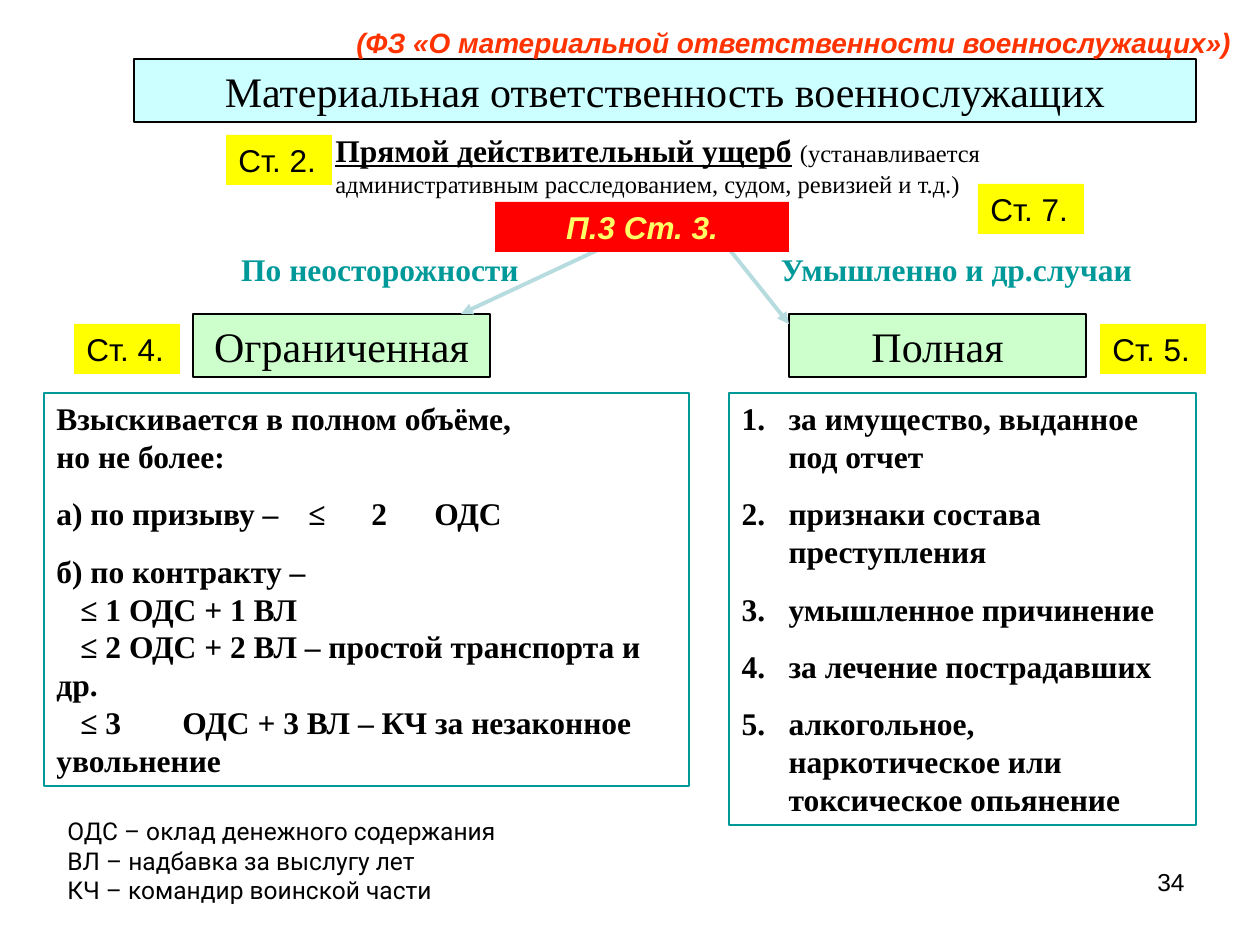
"""Build a slide on the material liability of servicemen."""
from dataclasses import dataclass

from lxml import etree
from pptx import Presentation
from pptx.dml.color import RGBColor
from pptx.enum.shapes import MSO_CONNECTOR, MSO_SHAPE
from pptx.enum.text import MSO_ANCHOR, MSO_AUTO_SIZE, PP_ALIGN
from pptx.oxml.ns import qn
from pptx.util import Emu, Pt

RECT, STRAIGHT = MSO_SHAPE.RECTANGLE, MSO_CONNECTOR.STRAIGHT
LEFT, CENTER, RIGHT = PP_ALIGN.LEFT, PP_ALIGN.CENTER, PP_ALIGN.RIGHT
TOP, NO_FIT = MSO_ANCHOR.TOP, MSO_AUTO_SIZE.NONE

PX_PER_INCH = 126
COLORS = {
    "black": "000000", "teal": "009999", "mint": "CCFFCC", "sky": "CCFFFF",
    "orange": "FF3300", "yellow": "FFFF00", "red": "FF0000", "lemon": "FFFF66",
    "arrow": "B6DCDF",
}
SERIF, SANS = "Times New Roman", "Arial"
HEADING = {"name": SERIF, "size": Pt(24), "bold": False}
STRONG = {"name": SERIF, "size": Pt(18), "bold": True}
TERM = {**STRONG, "underline": True}
DETAIL = {"name": SERIF, "size": Pt(14)}
ARTICLE = {"name": SANS, "size": Pt(18)}
CLAUSE = {**ARTICLE, "bold": True, "italic": True}
LAW = {**CLAUSE, "size": Pt(16)}
LEGEND = {"name": "Roboto", "size": Pt(14)}
NUMBER = {"name": SANS, "size": Pt(14)}


@dataclass
class Run:
    text: str
    fmt: dict


@dataclass
class Para:
    runs: list[Run]
    before: float = 0
    indent: int = 0
    hanging: int = 0
    tabs: tuple[int, ...] = ()


@dataclass
class Box:
    x: int
    y: int
    w: int
    h: int
    paras: list[Para]
    color: str = "black"
    align: PP_ALIGN = LEFT
    fill: str | None = None
    line: str | None = None
    line_pt: float = 1
    wrap: bool = True


def px(n: float) -> Emu:
    """Turn pixels into EMU."""
    return Emu(round(n * 914400 / PX_PER_INCH))


def rgb(key: str) -> RGBColor:
    """Look up a colour."""
    return RGBColor.from_string(COLORS[key])


def lines(fmt: dict, *texts: str, gap: float = 0, **options) -> list[Para]:
    """Make one paragraph per text, with a gap between them."""
    return [Para([Run(t, fmt)], gap if i else 0, **options) for i, t in enumerate(texts)]


def write_para(p, para: Para, box: Box) -> None:
    """Fill one paragraph."""
    p.alignment, p.space_before = box.align, Pt(para.before)
    pPr = p._p.get_or_add_pPr()
    pPr.set("marL", str(px(para.hanging)))
    pPr.set("indent", str(px(para.indent - para.hanging)))
    if para.hanging:
        etree.SubElement(pPr, qn("a:buFont"), typeface="+mj-lt")
        etree.SubElement(pPr, qn("a:buAutoNum"), type="arabicPeriod")
    if para.tabs:
        tab_list = etree.SubElement(pPr, qn("a:tabLst"))
        for stop in para.tabs:
            etree.SubElement(tab_list, qn("a:tab"), pos=str(px(stop)), algn="l")
    for run in para.runs:
        r = p.add_run()
        r.text = run.text
        for name, value in run.fmt.items():
            setattr(r.font, name, value)
        r.font.color.rgb = rgb(box.color)


def format_box(sp, box: Box) -> None:
    """Place a shape, paint it and write its text."""
    frame = {"left": px(box.x), "top": px(box.y), "width": px(box.w), "height": px(box.h)}
    for name, value in frame.items():
        setattr(sp, name, value)
    if box.fill:
        sp.fill.solid()
        sp.fill.fore_color.rgb = rgb(box.fill)
    else:
        sp.fill.background()
    if box.line:
        sp.line.color.rgb = rgb(box.line)
        sp.line.width = Pt(box.line_pt)
    else:
        sp.line.fill.background()
    tf = sp.text_frame
    for name, value in {"word_wrap": box.wrap, "auto_size": NO_FIT, "vertical_anchor": TOP}.items():
        setattr(tf, name, value)
    for i, para in enumerate(box.paras):
        write_para(tf.add_paragraph() if i else tf.paragraphs[0], para, box)


def add_box(shapes, box: Box) -> None:
    """Add a filled or outlined rectangle, or a plain text box."""
    if box.fill or box.line:
        sp = shapes.add_shape(RECT, 0, 0, 0, 0)
        sp.shadow.inherit = False
    else:
        sp = shapes.add_textbox(0, 0, 0, 0)
    format_box(sp, box)


def add_arrow(shapes, start: tuple[int, int], end: tuple[int, int]) -> None:
    """Add a straight arrow without shadow."""
    cxn = shapes.add_connector(STRAIGHT, *map(px, start + end))
    cxn.line.color.rgb = rgb("arrow")
    cxn.line.width = Pt(2.25)
    etree.SubElement(cxn.line._get_or_add_ln(), qn("a:tailEnd"), type="triangle")
    etree.SubElement(cxn._element.spPr, qn("a:effectLst"))


TITLE = Box(134, 59, 1062, 63, lines(HEADING, "Материальная ответственность военнослужащих"),
            align=CENTER, fill="sky", line="black")
FULL_CASES = Box(729, 393, 467, 432, lines(
    STRONG, "за имущество, выданное под отчет", "признаки состава преступления",
    "умышленное причинение", "за лечение пострадавших",
    "алкогольное, наркотическое или токсическое опьянение", gap=11.2, hanging=47),
    line="teal", line_pt=0.75)
LIMITS = [
    *lines(STRONG, "Взыскивается в полном объёме,", "но не более:"),
    Para([Run("а) по призыву –\t≤\t2\tОДС", STRONG)], 11.2, tabs=(246, 279, 326)),
    Para([Run("б) по контракту –", STRONG)], 11.2),
    *lines(STRONG, "≤ 1 ОДС + 1 ВЛ", "≤ 2 ОДС + 2 ВЛ – простой транспорта и др.",
           "≤ 3\tОДС + 3 ВЛ – КЧ за незаконное увольнение", indent=24, tabs=(89,)),
]
DAMAGE = [Para([
    Run("Прямой действительный ущерб", TERM), Run(" ", STRONG),
    Run("(устанавливается административным расследованием, судом, ревизией и т.д.)", DETAIL),
])]
BOXES = [
    Box(903, 861, 294, 66, lines(NUMBER, "34"), align=RIGHT),
    Box(44, 393, 645, 393, LIMITS, line="teal", line_pt=0.75),
    Box(323, 125, 745, 81, DAMAGE),
    Box(344, 19, 902, 47, lines(LAW, "(ФЗ «О материальной ответственности военнослужащих»)"),
        color="orange", wrap=False),
    Box(55, 810, 464, 101, lines(LEGEND, "ОДС – оклад денежного содержания",
                                 "ВЛ – надбавка за выслугу лет",
                                 "КЧ – командир воинской части"), wrap=False),
]
KINDS = [(193, "Ограниченная"), (789, "Полная")]
GUILT = [(213, 334, "По неосторожности"), (748, 417, "Умышленно и др.случаи")]
ARTICLES = [(978, 184, 7), (74, 324, 4), (226, 135, 2), (1100, 324, 5)]
CLAUSE_BOX = Box(495, 202, 294, 50, lines(CLAUSE, "П.3 Ст. 3."),
                 color="lemon", align=CENTER, fill="red")


def main() -> None:
    """Build and save the slide."""
    prs = Presentation()
    prs.slide_width, prs.slide_height = px(1260), px(945)
    s = prs.slides.add_slide(prs.slide_layouts[1])
    format_box(s.shapes.title, TITLE)
    format_box(s.placeholders[1], FULL_CASES)
    boxes = BOXES + [
        Box(x, 314, 297, 63, lines(HEADING, text), align=CENTER, fill="mint", line="black")
        for x, text in KINDS
    ] + [
        Box(x, 244, w, 50, lines(STRONG, text), color="teal", align=CENTER)
        for x, w, text in GUILT
    ] + [
        Box(x, y, 106, 50, lines(ARTICLE, f"Ст. {n}."), fill="yellow", wrap=False)
        for x, y, n in ARTICLES
    ]
    for box in boxes:
        add_box(s.shapes, box)
    for end in [(461, 314), (789, 324)]:
        add_arrow(s.shapes, (694, 205), end)
    add_box(s.shapes, CLAUSE_BOX)
    prs.save("out.pptx")


if __name__ == "__main__":
    main()
